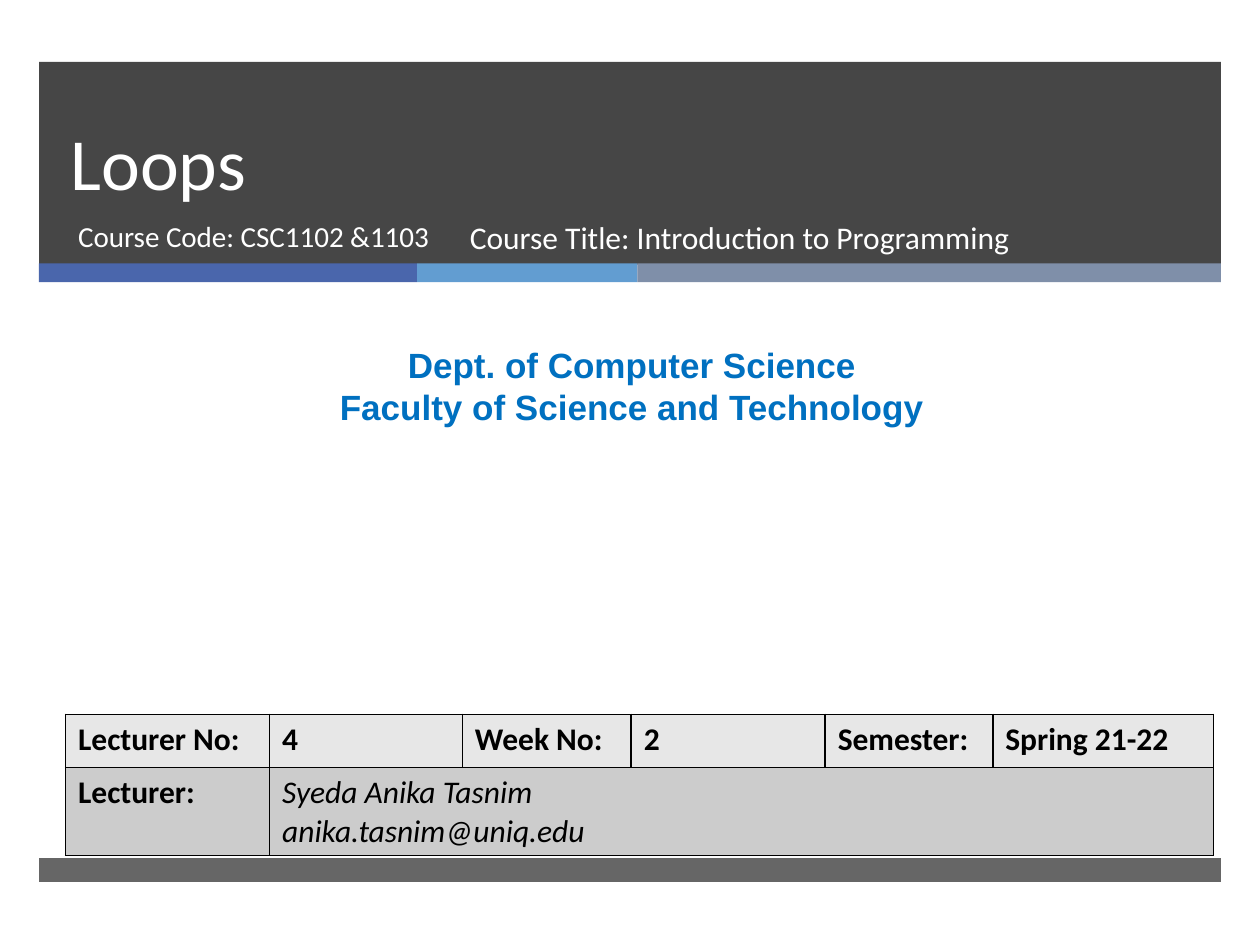
import pptx
import pptx.util
import pptx.dml.color
import pptx.enum.shapes
import pptx.enum.text
import pptx.oxml
import pptx.oxml.ns
from pptx.util import Inches

ALIGN = pptx.enum.text.PP_ALIGN
ANCHOR = pptx.enum.text.MSO_ANCHOR
DARK, WHITE, BLACK, BLUE = "262626", "FFFFFF", "000000", "0070C0"


def rgb(code):
    return pptx.dml.color.RGBColor.from_string(code)


class Deck:
    """Holds the text style and the current slide."""

    font = "Calibri"

    def __init__(self, wide, high):
        self.prs = pptx.Presentation()
        self.prs.slide_width = Inches(wide)
        self.prs.slide_height = Inches(high)
        self.slide = self.prs.slides.add_slide(self.prs.slide_layouts[0])
        self.bars = 0

    def fill_text(self, frame, lines, size, color, bold=False, italic=False,
                  align=ALIGN.LEFT, font=None):
        frame.text = "\n".join(lines)
        for para in frame.paragraphs:
            para.alignment = align
            para.space_before = pptx.util.Pt(0)
            para.font.name = font or self.font
            para.font.size = pptx.util.Pt(size)
            para.font.bold = bold
            para.font.italic = italic
            para.font.color.rgb = rgb(color)

    def bar(self, left, top, width, height, color, alpha=100):
        """Add a plain band behind the placeholders."""
        kind = pptx.enum.shapes.MSO_SHAPE.RECTANGLE
        shape = self.slide.shapes.add_shape(
            kind, Inches(left), Inches(top), Inches(width), Inches(height))
        shape.shadow.inherit = False
        shape.line.fill.background()
        shape.fill.solid()
        shape.fill.fore_color.rgb = rgb(color)
        if alpha < 100:
            tone = shape._element.spPr.find(".//" + pptx.oxml.ns.qn("a:srgbClr"))
            tone.append(pptx.oxml.parse_xml(
                f'<a:alpha {pptx.oxml.ns.nsdecls("a")} val="{alpha * 1000}"/>'))
        self.slide.shapes._spTree.insert(2 + self.bars, shape._element)
        self.bars += 1

    def holder(self, index, box, text, size, anchor):
        shape = self.slide.placeholders[index]
        shape.left, shape.top, shape.width, shape.height = map(Inches, box)
        frame = shape.text_frame
        frame.auto_size = pptx.enum.text.MSO_AUTO_SIZE.NONE
        frame.vertical_anchor = anchor
        self.fill_text(frame, [text], size, WHITE)
        return frame

    def label(self, box, lines, size, color, **style):
        frame = self.slide.shapes.add_textbox(*map(Inches, box)).text_frame
        frame.word_wrap = True
        self.fill_text(frame, lines, size, color, **style)

    def cell(self, cell, lines, fill, **style):
        cell.fill.solid()
        cell.fill.fore_color.rgb = rgb(fill)
        self.fill_text(cell.text_frame, lines, 18, BLACK, **style)

    def edge(self, cell):
        """Draw a thin black border on all four sides."""
        props = cell._tc.get_or_add_tcPr()
        for spot, side in enumerate(("lnL", "lnR", "lnT", "lnB")):
            props.insert(spot, pptx.oxml.parse_xml(
                f'<a:{side} {pptx.oxml.ns.nsdecls("a")} w="12700"><a:solidFill>'
                f'<a:srgbClr val="{BLACK}"/></a:solidFill></a:{side}>'))

    def table(self, left, top, cols, rows):
        frame = self.slide.shapes.add_table(
            len(rows), len(cols), Inches(left), Inches(top),
            Inches(sum(cols)), Inches(sum(rows)))
        table = frame.table
        table.first_row = table.horz_banding = False
        for col, width in zip(table.columns, cols):
            col.width = Inches(width)
        for row, height in zip(table.rows, rows):
            row.height = Inches(height)
        return table


def main():
    deck = Deck(10, 7.5)

    deck.bar(0.31, 0.49, 9.38, 1.61, DARK, 85)
    left = 0.31
    for width, color in ((3, "4A66AC"), (1.75, "629DD1"), (4.63, "7F8FA9")):
        deck.bar(left, 2.09, width, 0.15, color)
        left += width
    deck.bar(0.31, 6.81, 9.38, 0.19, DARK, 70)

    title = deck.holder(0, (0.46, 0.49, 8.54, 1.19), "Loops", 42, ANCHOR.BOTTOM)
    title.paragraphs[0].line_spacing = pptx.util.Pt(46)
    deck.holder(1, (0.52, 1.68, 3.21, 0.53), "Course Code: CSC1102 &1103",
                16.6, ANCHOR.TOP)
    deck.label((0.08, 2.68, 9.87, 0.77),
               ["Dept. of Computer Science", "Faculty of Science and Technology"],
               20, BLUE, bold=True, align=ALIGN.CENTER, font="Arial")

    table = deck.table(0.52, 5.67, (1.62, 1.53, 1.34, 1.54, 1.33, 1.75),
                       (0.42, 0.7))
    heads = ("Lecturer No:", "4", "Week No:", "2", "Semester:", "Spring 21-22")
    for col, text in enumerate(heads):
        deck.cell(table.cell(0, col), [text], "E7E7E7", bold=True)
    table.cell(1, 1).merge(table.cell(1, 5))
    deck.cell(table.cell(1, 0), ["Lecturer:"], "CCCCCC", bold=True)
    deck.cell(table.cell(1, 1), ["Syeda Anika Tasnim", "anika.tasnim@uniq.edu"],
              "CCCCCC", italic=True)
    for cell in table.iter_cells():
        deck.edge(cell)

    deck.label((3.63, 1.68, 4.55, 0.53),
               ["Course Title: Introduction to Programming"], 18, WHITE)

    deck.prs.save("out.pptx")


if __name__ == "__main__":
    main()
